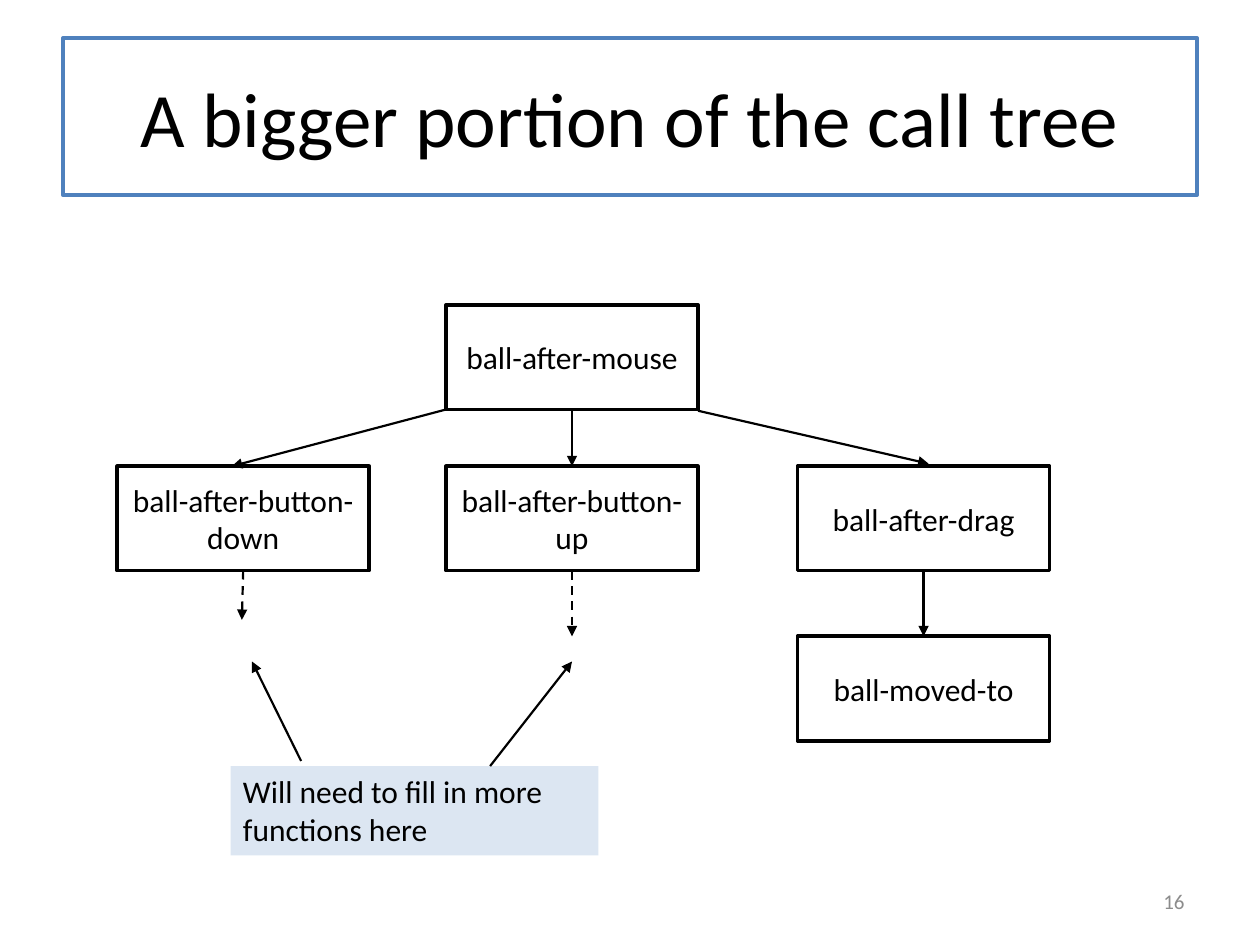
import dataclasses

import lxml.etree
import pptx
import pptx.dml.color
import pptx.enum.dml
import pptx.enum.shapes
import pptx.enum.text
import pptx.oxml.ns
import pptx.util

ALIGN = pptx.enum.text.PP_ALIGN
ANCHOR = pptx.enum.text.MSO_ANCHOR
CELL = 0.1
TOP, BOTTOM = 0, 2


@dataclasses.dataclass(frozen=True)
class Theme:
    font: str = "Calibri"
    ink: str = "000000"
    paper: str = "FFFFFF"
    accent: str = "4F81BD"
    note: str = "DCE6F2"
    muted: str = "8C8C8C"
    title_size: float = 44
    body_size: float = 18
    number_size: float = 12
    border: float = 2
    arrow: float = 1.25


@dataclasses.dataclass(frozen=True)
class Box:
    left: float
    top: float
    width: float
    height: float

    def inner(self, column, row, width, height):
        return Box(self.left + column, self.top + row, width, height)

    def point(self, column, row):
        return self.left + column, self.top + row

    def lengths(self):
        return [grid(cells) for cells in dataclasses.astuple(self)]


THEME = Theme()


def grid(cells):
    return pptx.util.Inches(round(cells * CELL, 2))


def color(value):
    return pptx.dml.color.RGBColor.from_string(value)


def write(shape, text, size=THEME.body_size, ink=THEME.ink,
          align=ALIGN.CENTER, anchor=ANCHOR.MIDDLE):
    frame = shape.text_frame
    frame.word_wrap = True
    frame.vertical_anchor = anchor
    para = frame.paragraphs[0]
    para.alignment = align
    span = para.add_run()
    span.text = text
    span.font.name = THEME.font
    span.font.size = pptx.util.Pt(size)
    span.font.color.rgb = color(ink)


def add_panel(page, box, fill, line=None):
    panel = page.shapes.add_shape(
        pptx.enum.shapes.MSO_SHAPE.RECTANGLE, *box.lengths())
    panel.shadow.inherit = False
    panel.fill.solid()
    panel.fill.fore_color.rgb = color(fill)
    if line:
        panel.line.color.rgb = color(line)
        panel.line.width = pptx.util.Pt(THEME.border)
    else:
        panel.line.fill.background()
    return panel


def add_arrow(page, start, tip, source=None, target=None, dashed=False):
    arrow = page.shapes.add_connector(
        pptx.enum.shapes.MSO_CONNECTOR.STRAIGHT,
        *[grid(cells) for cells in (*start, *tip)])
    if source:
        arrow.begin_connect(source, BOTTOM)
    if target:
        arrow.end_connect(target, TOP)
    arrow.line.color.rgb = color(THEME.ink)
    arrow.line.width = pptx.util.Pt(THEME.arrow)
    if dashed:
        arrow.line.dash_style = pptx.enum.dml.MSO_LINE.DASH
    qualified = pptx.oxml.ns.qn
    properties = arrow.line._get_or_add_ln()
    lxml.etree.SubElement(properties, qualified("a:tailEnd"), type="triangle")
    lxml.etree.SubElement(arrow._element.spPr, qualified("a:effectLst"))


def add_title(page, box):
    panel = add_panel(page, box, THEME.paper, THEME.accent)
    write(panel, "A bigger portion of the call tree", size=THEME.title_size)


def add_call_tree(page, box):
    width, height = 20, 8.3
    left, middle, right = 0, 26.1, 54
    first, second, third = 0, 12.8, 26.3

    def add_node(text, column, row):
        node = add_panel(page, box.inner(column, row, width, height),
                         THEME.paper, THEME.ink)
        write(node, text)
        return node

    mouse = add_node("ball-after-mouse", middle, first)
    down = add_node("ball-after-button-down", left, second)
    up = add_node("ball-after-button-up", middle, second)
    drag = add_node("ball-after-drag", right, second)
    moved = add_node("ball-moved-to", right, third)

    def below(column, row):
        return box.point(column + width / 2, row + height)

    def above(column, row):
        return box.point(column + width / 2, row)

    add_arrow(page, box.point(middle, height), box.point(9.1, second))
    add_arrow(page, below(middle, first), above(middle, second), mouse, up)
    add_arrow(page, box.point(middle + width, 8.4), box.point(64.4, 12.6))
    add_arrow(page, below(right, second), above(right, third), drag, moved)
    add_arrow(page, below(left, second), box.point(9.9, 25), down, dashed=True)
    add_arrow(page, below(middle, second), above(middle, third), up, dashed=True)


def add_note(page, box):
    panel = add_panel(page, box, THEME.note)
    write(panel, "Will need to fill in more functions here",
          align=ALIGN.LEFT, anchor=ANCHOR.TOP)
    panel.text_frame.auto_size = pptx.enum.text.MSO_AUTO_SIZE.SHAPE_TO_FIT_TEXT
    for start, tip in (((5.6, -0.4), (1.7, -8.3)), ((20.6, 0), (27.1, -8.3))):
        add_arrow(page, box.point(*start), box.point(*tip))


def add_page_number(page, box):
    label = page.shapes.add_textbox(*box.lengths())
    write(label, "16", size=THEME.number_size, ink=THEME.muted,
          align=ALIGN.RIGHT)


def main():
    deck = pptx.Presentation()
    deck.slide_width, deck.slide_height = grid(100), grid(75)
    page = deck.slides.add_slide(deck.slide_layouts[6])
    add_title(page, Box(5, 3, 90, 12.5))
    add_call_tree(page, Box(9.3, 24.2, 74, 34.6))
    add_note(page, Box(18.3, 60.8, 29.2, 7.1))
    add_page_number(page, Box(71.7, 69.5, 23.3, 4))
    deck.save("out.pptx")


if __name__ == "__main__":
    main()
